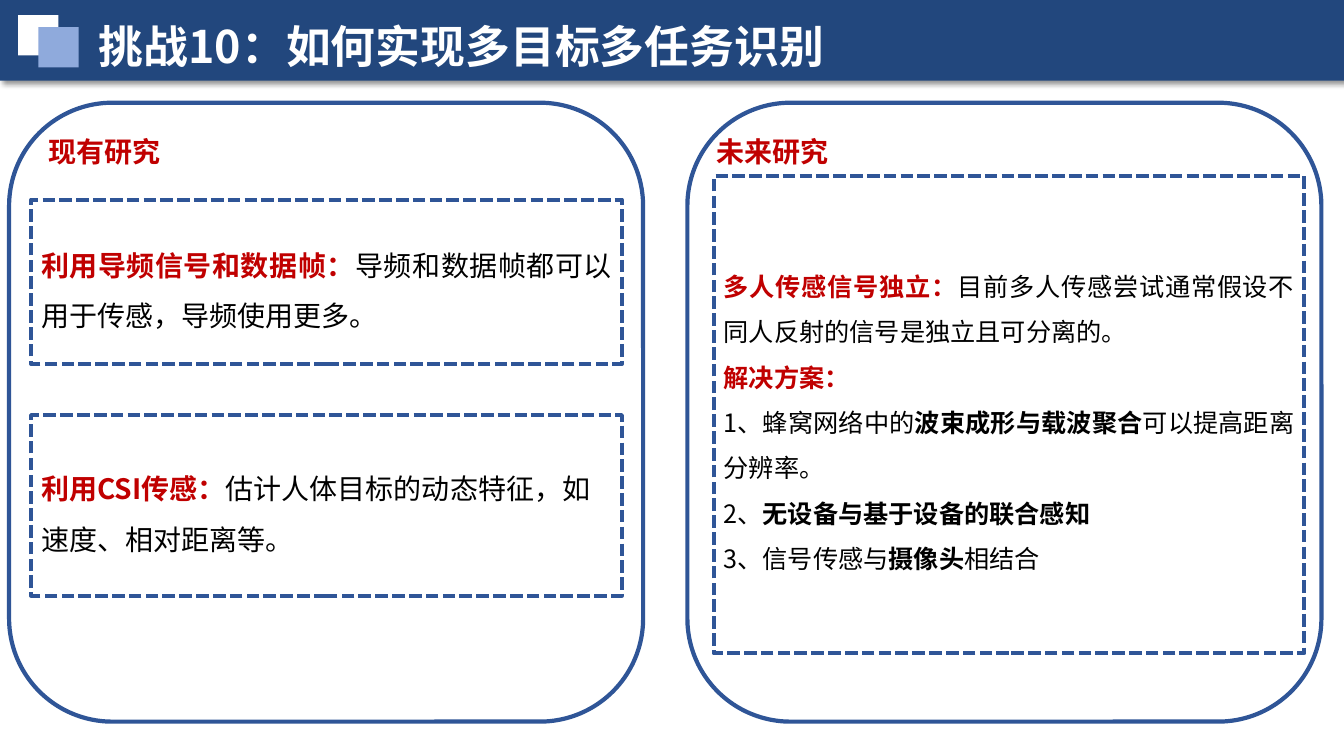
from dataclasses import dataclass

from lxml import etree
from pptx import Presentation
from pptx.dml.color import RGBColor
from pptx.enum.dml import MSO_LINE
from pptx.enum.shapes import MSO_SHAPE
from pptx.enum.text import MSO_ANCHOR, PP_ALIGN
from pptx.oxml.ns import qn
from pptx.shapes.autoshape import Shape
from pptx.slide import Slide
from pptx.text.text import Font
from pptx.util import Pt

RECTANGLE = MSO_SHAPE.RECTANGLE
ROUNDED = MSO_SHAPE.ROUNDED_RECTANGLE
SYSTEM_DASH = MSO_LINE.SQUARE_DOT
JUSTIFY = PP_ALIGN.JUSTIFY
LEFT = PP_ALIGN.LEFT
MIDDLE = MSO_ANCHOR.MIDDLE

FONT = "Noto Sans CJK SC"
NAVY, BLUE, PALE_BLUE = "22477D", "2F5597", "8FAADC"
RED, WHITE, BLACK = "C00000", "FFFFFF", "000000"

PANEL_TOP, PANEL_WIDTH, PANEL_HEIGHT = 73.4, 452.9, 442.1
CARD_WIDTH = 421.9
SQUARE_SIZE = 28.8


@dataclass(frozen=True)
class Part:
    text: str
    bold: bool = False
    color: str = BLACK


@dataclass(frozen=True)
class Card:
    left: float
    top: float
    height: float
    size: float
    alignment: PP_ALIGN
    paragraphs: list[list[Part]]


@dataclass(frozen=True)
class Panel:
    left: float
    heading: str
    heading_left: float
    cards: list[Card]


def lead(text: str) -> Part:
    return Part(text, True, RED)


PANELS = [
    Panel(6.5, "现有研究", 27.4, [
        Card(22.3, 142.6, 117.4, 20, JUSTIFY, [
            [lead("利用导频信号和数据帧："),
             Part("导频和数据帧都可以用于传感，导频使用更多。")],
        ]),
        Card(22.3, 296.6, 128.9, 20, LEFT, [
            [lead("利用CSI传感："),
             Part("估计人体目标的动态特征，如速度、相对距离等。")],
        ]),
    ]),
    Panel(491, "未来研究", 504.7, [
        Card(509.8, 126, 340.6, 18, JUSTIFY, [
            [lead("多人传感信号独立："),
             Part("目前多人传感尝试通常假设不同人反射的信号是独立且可分离的。")],
            [lead("解决方案：")],
            [Part("1、蜂窝网络中的"), Part("波束成形与载波聚合", True),
             Part("可以提高距离分辨率。")],
            [Part("2、"), Part("无设备与基于设备的联合感知", True)],
            [Part("3、信号传感与"), Part("摄像头", True), Part("相结合")],
        ]),
    ]),
]


def rgb(color: str) -> RGBColor:
    return RGBColor.from_string(color)


def style_font(font: Font, properties: etree._Element, size: float) -> None:
    """Set size and typeface, for Latin and East Asian text alike."""
    font.size = Pt(size)
    font.name = FONT
    east_asian = etree.Element(qn("a:ea"), typeface=FONT)
    properties.find(qn("a:latin")).addnext(east_asian)


def add_block(slide: Slide, kind: MSO_SHAPE, left: float, top: float,
              width: float, height: float, fill: str | None = None) -> Shape:
    """Add a filled shape, or an outlined one when no fill is given."""
    shape = slide.shapes.add_shape(kind, Pt(left), Pt(top), Pt(width), Pt(height))
    shape.shadow.inherit = False
    if fill:
        shape.fill.solid()
        shape.fill.fore_color.rgb = rgb(fill)
        shape.line.fill.background()
    else:
        shape.fill.background()
        shape.line.color.rgb = rgb(BLUE)
        shape.line.width = Pt(3)
    return shape


def add_drop_shadow(shape: Shape) -> None:
    effects = shape.element.spPr.find(qn("a:effectLst"))
    shadow = etree.SubElement(effects, qn("a:outerShdw"), blurRad=str(Pt(4)),
                              dist=str(Pt(3)), dir=str(45 * 60000),
                              algn="tl", rotWithShape="0")
    color = etree.SubElement(shadow, qn("a:srgbClr"), val=BLACK)
    etree.SubElement(color, qn("a:alpha"), val="40000")


def add_label(slide: Slide, text: str, left: float, top: float, width: float,
              height: float, size: float, color: str) -> None:
    box = slide.shapes.add_textbox(Pt(left), Pt(top), Pt(width), Pt(height))
    box.text_frame.word_wrap = True
    paragraph = box.text_frame.paragraphs[0]
    paragraph.text = text
    paragraph.font.bold = True
    paragraph.font.color.rgb = rgb(color)
    properties = paragraph.font
    style_font(properties, paragraph._p.pPr.find(qn("a:defRPr")), size)


def add_card(slide: Slide, card: Card) -> None:
    shape = add_block(slide, RECTANGLE, card.left, card.top, CARD_WIDTH, card.height)
    shape.line.dash_style = SYSTEM_DASH
    frame = shape.text_frame
    frame.word_wrap = True
    frame.vertical_anchor = MIDDLE
    for index, parts in enumerate(card.paragraphs):
        paragraph = frame.add_paragraph() if index else frame.paragraphs[0]
        paragraph.alignment = card.alignment
        paragraph.line_spacing = 1.5
        style = paragraph.font
        style_font(style, paragraph._p.pPr.find(qn("a:defRPr")), card.size)
        for part in parts:
            run = paragraph.add_run()
            run.text = part.text
            run.font.bold = part.bold
            run.font.color.rgb = rgb(part.color)


def add_header(slide: Slide, title: str) -> None:
    banner = add_block(slide, RECTANGLE, 0, -1.4, 960, 59, NAVY)
    add_drop_shadow(banner)
    for left, top, color in ((13, 10.8, WHITE), (27.4, 19.4, PALE_BLUE)):
        add_block(slide, RECTANGLE, left, top, SQUARE_SIZE, SQUARE_SIZE, color)
    add_label(slide, title, 63.4, 10.1, 896, 46, 32, WHITE)


def add_panel(slide: Slide, panel: Panel) -> None:
    add_block(slide, ROUNDED, panel.left, PANEL_TOP, PANEL_WIDTH, PANEL_HEIGHT)
    for card in panel.cards:
        add_card(slide, card)
    add_label(slide, panel.heading, panel.heading_left, 92.2, 159, 31.5, 20, RED)


def main() -> None:
    presentation = Presentation()
    presentation.slide_width = Pt(960)
    presentation.slide_height = Pt(540)
    slide = presentation.slides.add_slide(presentation.slide_layouts[6])
    add_header(slide, "挑战10：如何实现多目标多任务识别")
    for panel in PANELS:
        add_panel(slide, panel)
    presentation.save("out.pptx")


if __name__ == "__main__":
    main()
